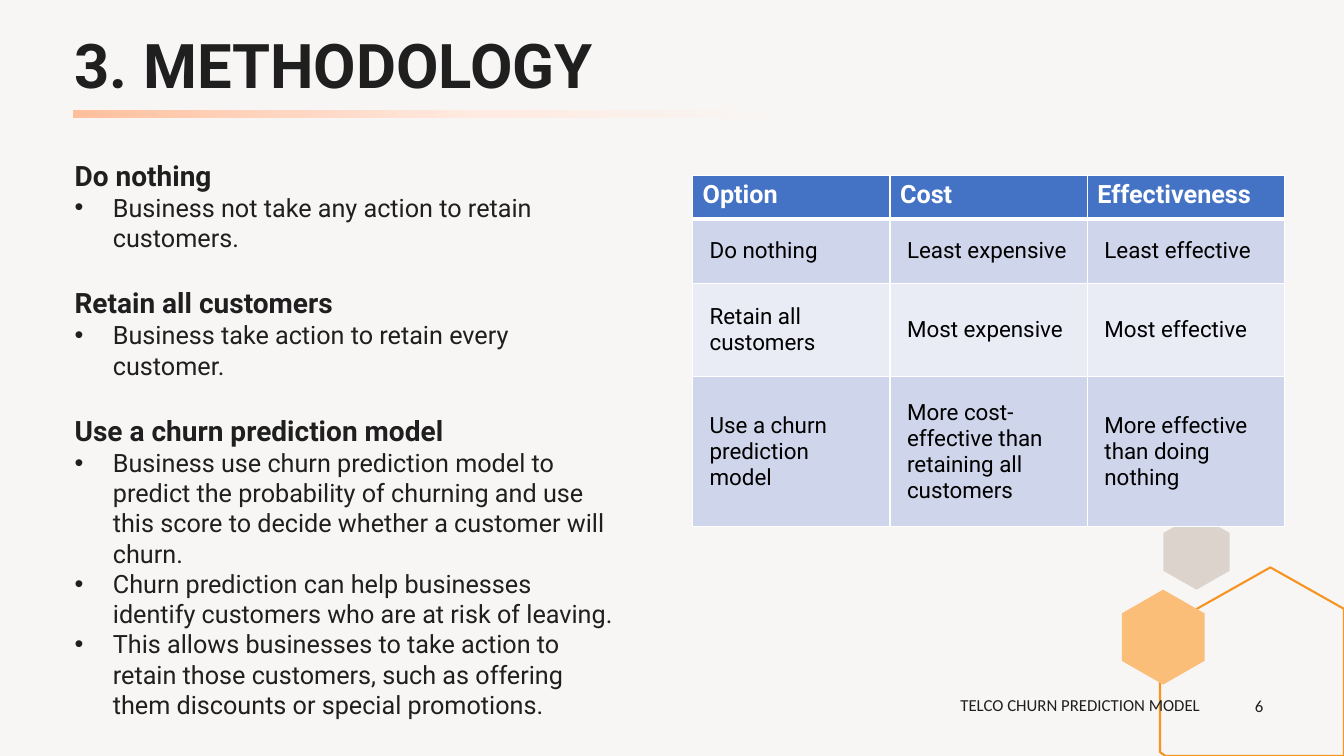
import lxml.etree
import pptx
import pptx.dml.color
import pptx.enum.shapes
import pptx.enum.text
import pptx.oxml
import pptx.oxml.ns
import pptx.util

COLORS = {
    "background": "F8F6F5", "ink": "1F1F1F", "black": "000000", "white": "FFFFFF",
    "stone": "DCD3CC", "orange": "F79320", "apricot": "FABE79",
    "header": "4472C4", "band": "CFD5EA", "light band": "E9EBF5",
}
RULE_STOPS = [(0, "FFBF9B"), (29, "FFD6C2"), (55, "FFEBE1"), (96, "F8F6F5")]

# The slide is a grid of 32 columns by 18 rows; boxes are (left, top, width, height)
WIDTH, HEIGHT = pptx.util.Inches(13.333), pptx.util.Inches(7.5)
COLUMN, ROW = WIDTH / 32, HEIGHT / 18
INDENT = pptx.util.Inches(0.38)
MIDDLE = pptx.enum.text.MSO_ANCHOR.MIDDLE

HEXAGON = [(0.5, 0), (1, 0.25), (1, 0.75), (0.5, 1), (0, 0.75), (0, 0.25)]
CUT_HEXAGON = [(0.6, 0), (1, 0.22), (1, 1), (0.03, 1), (0, 0.98), (0, 0.33)]

OPTIONS = [
    ("Do nothing", ["Business not take any action to retain customers."]),
    ("Retain all customers", ["Business take action to retain every customer."]),
    ("Use a churn prediction model", [
        "Business use churn prediction model to predict the probability of churning "
        "and use this score to decide whether a customer will churn.",
        "Churn prediction can help businesses identify customers who are at risk of leaving.",
        "This allows businesses to take action to retain those customers, such as "
        "offering them discounts or special promotions.",
    ]),
]
COMPARISON = [
    ("Option", "Cost", "Effectiveness"),
    ("Do nothing", "Least expensive", "Least effective"),
    ("Retain all customers", "Most expensive", "Most effective"),
    ("Use a churn prediction model", "More cost-effective than retaining all customers",
     "More effective than doing nothing"),
]
COMPARISON_ROWS = [1.03, 1.54, 2.21, 3.58]


def color(name):
    return pptx.dml.color.RGBColor.from_string(COLORS[name])


def place(box):
    left, top, width, height = box
    return [round(length) for length in
            (left * COLUMN, top * ROW, width * COLUMN, height * ROW)]


def xml(text):
    namespace = pptx.oxml.ns.nsdecls("a")
    return pptx.oxml.parse_xml(text.replace(">", f" {namespace}>", 1))


def add_run(paragraph, text, size, font="Roboto", bold=False, ink="ink"):
    run = paragraph.add_run()
    run.text = text
    run.font.size = pptx.util.Pt(size)
    run.font.name = font
    run.font.bold = bold
    run.font.color.rgb = color(ink)


def add_text_frame(slide, box):
    frame = slide.shapes.add_textbox(*place(box)).text_frame
    frame.word_wrap = True
    return frame


def add_outline(slide, box, points, fill=None, line=None):
    left, top, width, height = place(box)
    corners = [(left + x * width, top + y * height) for x, y in points]
    builder = slide.shapes.build_freeform(*corners[0])
    builder.add_line_segments(corners[1:], close=True)
    shape = builder.convert_to_shape()
    shape.shadow.inherit = False
    if fill:
        shape.fill.solid()
        shape.fill.fore_color.rgb = color(fill)
    else:
        shape.fill.background()
    if line:
        shape.line.color.rgb = color(line)
        shape.line.width = pptx.util.Pt(1.5)
    else:
        shape.line.fill.background()


def add_decoration(slide):
    add_outline(slide, (27.7, 12.24, 1.58, 1.8), HEXAGON, fill="stone")
    add_outline(slide, (27.62, 13.51, 4.38, 4.49), CUT_HEXAGON, line="orange")
    add_outline(slide, (26.71, 14.04, 1.97, 2.26), HEXAGON, fill="apricot")


def add_title(slide, box):
    paragraph = add_text_frame(slide, box).paragraphs[0]
    paragraph.line_spacing = 0.9
    add_run(paragraph, "3. METHODOLOGY", 44, bold=True)


def add_title_rule(slide, box):
    rule = slide.shapes.add_shape(pptx.enum.shapes.MSO_SHAPE.RECTANGLE, *place(box))
    rule.shadow.inherit = False
    rule.line.fill.background()
    stops = "".join(f'<a:gs pos="{share * 1000}"><a:srgbClr val="{value}"/></a:gs>'
                    for share, value in RULE_STOPS)
    gradient = xml(f'<a:gradFill><a:gsLst>{stops}</a:gsLst><a:path path="circle">'
                   '<a:fillToRect t="100000" r="100000"/></a:path></a:gradFill>')
    geometry = rule.element.spPr.find(pptx.oxml.ns.qn("a:prstGeom"))
    geometry.addnext(gradient)


def add_bullet(paragraph):
    properties = paragraph._p.get_or_add_pPr()
    properties.set("marL", str(INDENT))
    properties.set("indent", str(-INDENT))
    properties.append(xml('<a:buFont typeface="Arial"/>'.replace("/>", "></a:buFont>")))
    properties.append(xml('<a:buChar char="•"></a:buChar>'))


def add_options(slide, box):
    frame = add_text_frame(slide, box)
    for index, (heading, points) in enumerate(OPTIONS):
        paragraph = frame.add_paragraph() if index else frame.paragraphs[0]
        if index:
            paragraph.space_before = pptx.util.Pt(24)
        add_run(paragraph, heading, 20, bold=True)
        for point in points:
            paragraph = frame.add_paragraph()
            add_bullet(paragraph)
            add_run(paragraph, point, 18)


def add_borders(cell, is_header, below_header):
    properties = cell._tc.get_or_add_tcPr()
    for side in "LRTB":
        thick = (is_header and side == "B") or (below_header and side == "T")
        width = pptx.util.Pt(3 if thick else 1)
        properties.append(xml(f'<a:ln{side} w="{width}"><a:solidFill><a:srgbClr '
                              f'val="{COLORS["white"]}"/></a:solidFill></a:ln{side}>'))


def add_comparison(slide, box):
    left, top, width, height = place(box)
    table = slide.shapes.add_table(len(COMPARISON), len(COMPARISON[0]),
                                   left, top, width, height).table
    for row, share in zip(table.rows, COMPARISON_ROWS):
        row.height = round(share * ROW)
    for row_index, texts in enumerate(COMPARISON):
        is_header = row_index == 0
        fill = "header" if is_header else "band" if row_index % 2 else "light band"
        for column_index, text in enumerate(texts):
            cell = table.cell(row_index, column_index)
            add_borders(cell, is_header, row_index == 1)
            cell.fill.solid()
            cell.fill.fore_color.rgb = color(fill)
            if not is_header:
                cell.vertical_anchor = MIDDLE
                inset = pptx.util.Inches(0.17)
                cell.margin_left = cell.margin_right = inset
                cell.margin_top = cell.margin_bottom = inset
            add_run(cell.text_frame.paragraphs[0], text, 18 if is_header else 16,
                    bold=is_header, ink="white" if is_header else "black")


def add_footer(slide, label_box, number_box):
    label = add_text_frame(slide, label_box).paragraphs[0]
    label.space_after = pptx.util.Pt(6)
    add_run(label, "TELCO CHURN PREDICTION MODEL", 12, font="Calibri")

    number_frame = add_text_frame(slide, number_box)
    number_frame.vertical_anchor = MIDDLE
    number = number_frame.paragraphs[0]
    number.alignment = pptx.enum.text.PP_ALIGN.CENTER
    add_run(number, "6", 12, font="Calibri")


def add_methodology_slide(presentation):
    slide = presentation.slides.add_slide(presentation.slide_layouts[6])
    slide.background.fill.solid()
    slide.background.fill.fore_color.rgb = color("background")

    # Hexagons in the corner
    add_decoration(slide)
    # Heading
    add_title(slide, (1.54, 0.72, 15.84, 1.78))
    add_title_rule(slide, (1.75, 2.62, 17.66, 0.19))
    # Options on the left, their comparison on the right
    add_options(slide, (1.54, 3.65, 13.46, 12.77))
    add_comparison(slide, (16.49, 4.18, 14.1, sum(COMPARISON_ROWS)))
    # Footer label and slide number
    add_footer(slide, (22.63, 16.42, 6.74, 0.77), (29.38, 16.32, 1.2, 0.96))


def main():
    presentation = pptx.Presentation()
    presentation.slide_width, presentation.slide_height = WIDTH, HEIGHT
    add_methodology_slide(presentation)
    presentation.save("out.pptx")


if __name__ == "__main__":
    main()
